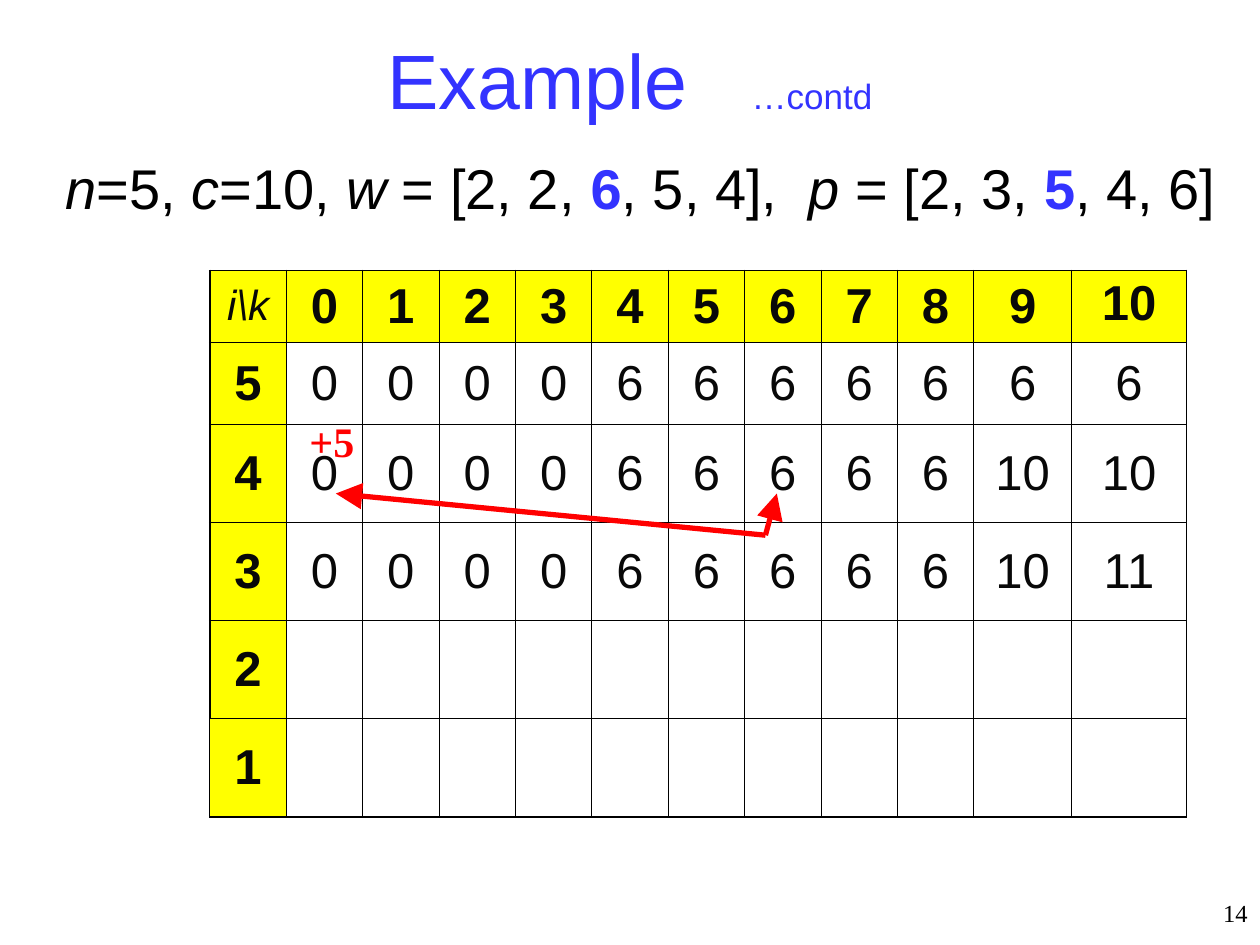
from dataclasses import dataclass
from lxml import etree
from pptx import Presentation, util as u
from pptx.dml.color import RGBColor
from pptx.enum import shapes, text
from pptx.oxml.ns import qn


@dataclass(frozen=True)
class Theme:
    blue: str = "3333FF"
    black: str = "000000"
    ink: str = "080808"
    red: str = "FF0000"
    gold: str = "FFFF00"
    sans: str = "Arial"
    serif: str = "Times New Roman"
    head: int = 44
    body: int = 32
    cell: int = 28
    note: int = 24
    small: int = 20
    foot: int = 14
    thin: float = 0.45
    thick: float = 1.08
    arrow: float = 3


T = Theme()
MID = text.MSO_ANCHOR.MIDDLE
TOP = text.MSO_ANCHOR.TOP
ITAL = {"italic": True}
KEY = {"bold": True, "hue": T.blue}
ROWS = [
    ["i\\k", *range(11)],
    [5] + [0] * 4 + [6] * 7,
    [4] + [0] * 4 + [6] * 5 + [10, 10],
    [3] + [0] * 4 + [6] * 5 + [10, 11],
    [2] + [""] * 11,
    [1] + [""] * 11,
]
COLS = [1.54] * 10 + [1.97, 2.32]
TALL = [1.45, 1.65] + [1.98] * 4


def put(obj, form):
    for name, value in form.items():
        setattr(obj, name, value)


def write(para, runs, align=None, **base):
    para.alignment = align
    for words, form in runs:
        form = {**base, **form}
        run = para.add_run()
        run.text = words
        run.font.color.rgb = RGBColor.from_string(form.pop("hue"))
        form["size"] = u.Pt(form["size"])
        gap = form.pop("gap", None)
        put(run.font, form)
        if gap:
            run.font._element.set("spc", str(gap))


def label(slide, box, runs, align=None, anchor=TOP, **base):
    frame = slide.shapes.add_textbox(*map(u.Cm, box)).text_frame
    put(frame, {"word_wrap": True, "vertical_anchor": anchor})
    write(frame.paragraphs[0], runs, align, **base)


def title(slide, box):
    runs = [("Example", {}), (" ", {"gap": 2440}), ("…contd", {"size": T.small})]
    label(slide, box, runs, text.PP_ALIGN.CENTER, MID,
          name=T.sans, size=T.head, hue=T.blue)


def given(slide, box):
    runs = [
        ("n", ITAL), ("=5, ", {}), ("c", ITAL), ("=10, ", {}),
        ("w", ITAL), (" = [2, 2, ", {}), ("6", KEY), (", 5, 4],", {}),
        (" ", {"gap": 890}), ("p", ITAL), (" = [2, 3, ", {}),
        ("5", KEY), (", 4, 6]", {}),
    ]
    label(slide, box, runs, name=T.sans, size=T.body, hue=T.black)


def edge(cell, sides):
    props = cell._tc.get_or_add_tcPr()
    for side, width in sides.items():
        line = etree.SubElement(props, qn("a:ln" + side), w=str(u.Pt(width)))
        fill = etree.SubElement(line, qn("a:solidFill"))
        etree.SubElement(fill, qn("a:srgbClr"), val=T.black)


def grid(slide, box):
    frame = slide.shapes.add_table(len(ROWS), len(COLS), *map(u.Cm, box))
    table = frame.table
    put(table, {"first_row": False, "horz_banding": False})
    for col, width in zip(table.columns, COLS):
        col.width = u.Cm(width)
    for row, height in zip(table.rows, TALL):
        row.height = u.Cm(height)
    last, end = len(ROWS) - 1, len(COLS) - 1
    for r, row in enumerate(ROWS):
        for c, value in enumerate(row):
            cell = table.cell(r, c)
            rims = {"L": c == 0 and r < last, "R": c == end,
                    "T": r == 0, "B": r == last}
            edge(cell, {s: T.thick if rim else T.thin for s, rim in rims.items()})
            corner, head = r == c == 0, r == 0 or c == 0
            if head:
                cell.fill.solid()
                cell.fill.fore_color.rgb = RGBColor.from_string(T.gold)
            else:
                cell.fill.background()
            cell.vertical_anchor = TOP if (r, c) == (0, end) else MID
            if value != "":
                write(cell.text_frame.paragraphs[0], [(str(value), {})],
                      text.PP_ALIGN.CENTER, name=T.sans, hue=T.ink,
                      size=T.note if corner else T.cell,
                      bold=head and not corner, italic=corner)


def arrow(slide, start, stop):
    line = slide.shapes.add_connector(
        shapes.MSO_CONNECTOR.STRAIGHT, *map(u.Cm, (*start, *stop)))
    line.line.color.rgb = RGBColor.from_string(T.red)
    line.line.width = u.Pt(T.arrow)
    etree.SubElement(line.line._get_or_add_ln(), qn("a:tailEnd"),
                     type="triangle", w="lg", len="lg")
    etree.SubElement(line._element.spPr, qn("a:effectLst"))


def marks(slide, box):
    left, top = box[:2]
    label(slide, (left + 1.76, top + 2.8, 1.8, 1.27), [("+5", {})],
          name=T.serif, size=T.note, hue=T.red, bold=True)
    for x in (2.54, 11.43):
        arrow(slide, (left + 11.2, top + 5.34), (left + x, top + 4.5))


def page(slide, box):
    label(slide, box, [("14", {})], text.PP_ALIGN.RIGHT,
          name=T.serif, size=T.foot, hue=T.black)


def main():
    deck = Presentation()
    put(deck, {"slide_width": u.Cm(25.4), "slide_height": u.Cm(19.05)})
    slide = deck.slides.add_slide(deck.slide_layouts[6])
    field = (4.23, 5.45, sum(COLS), sum(TALL))
    title(slide, (1.9, 0.53, 21.6, 2.1))
    given(slide, (1.07, 2.97, 23.93, 2.34))
    grid(slide, field)
    marks(slide, field)
    page(slide, (19.48, 17.98, 5.92, 1.07))
    deck.save("out.pptx")


if __name__ == "__main__":
    main()
